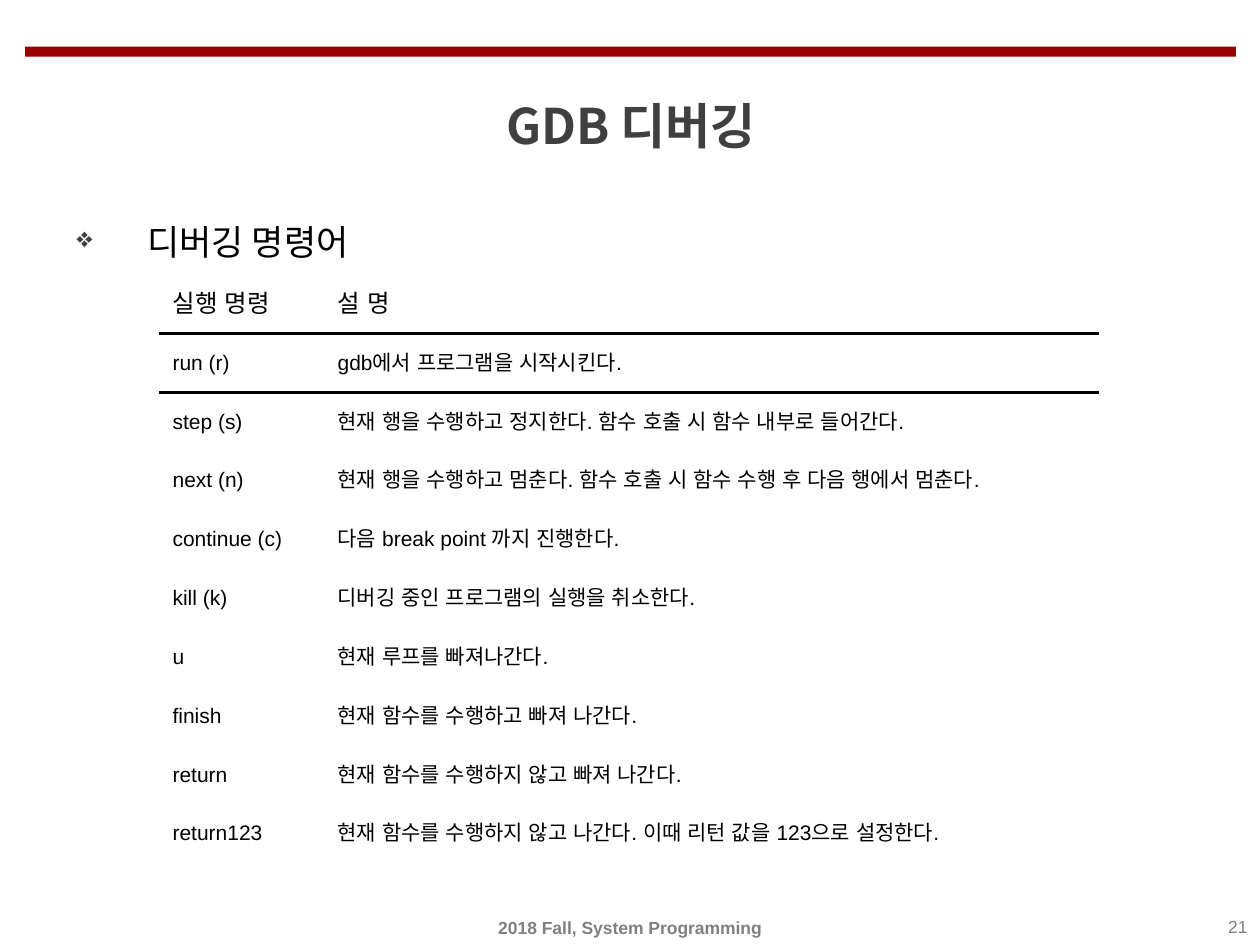
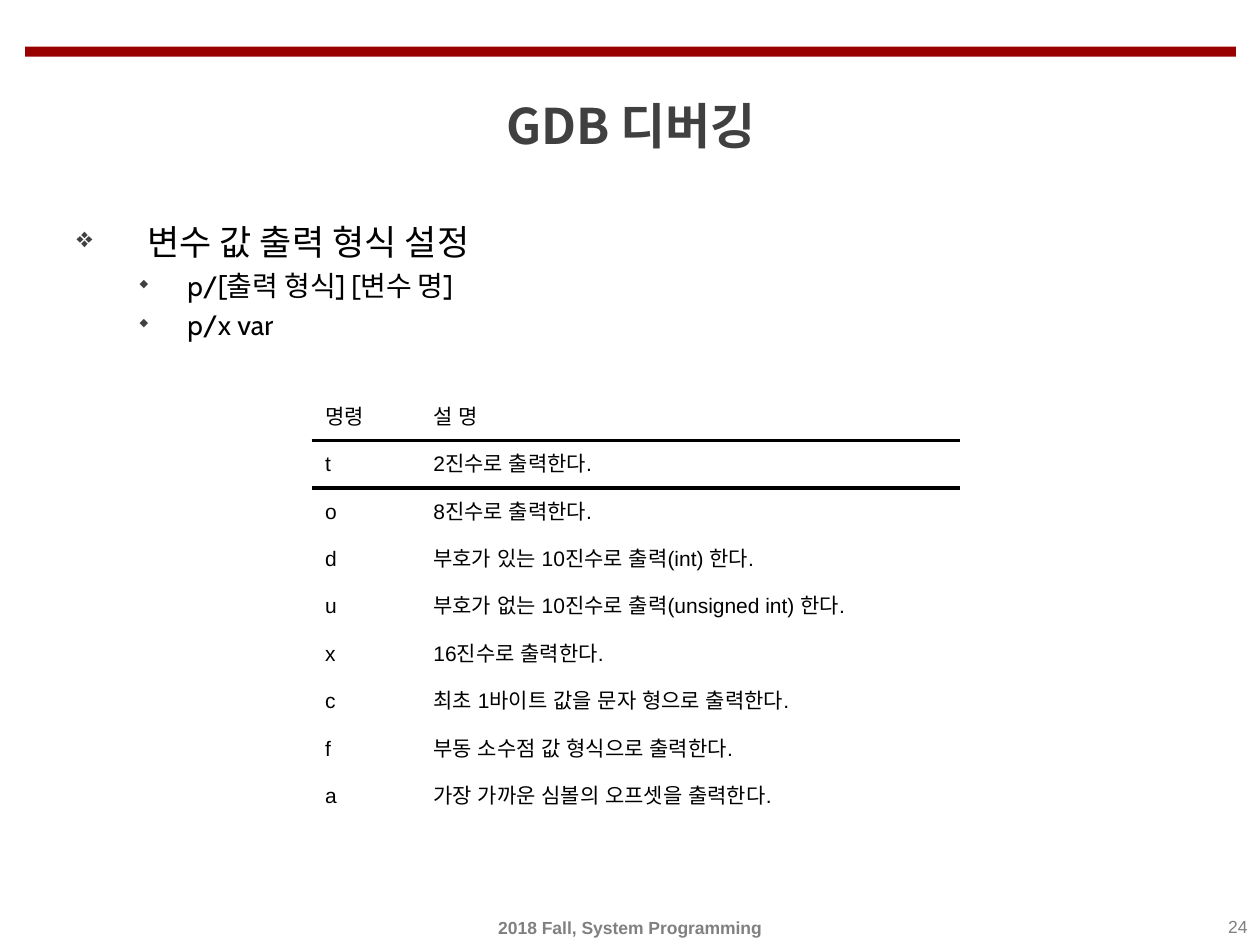
"""Build two slides on GDB debugging commands and variable output formats."""
from lxml import etree
from pptx import Presentation
from pptx import util as u
from pptx.dml import color
from pptx.enum import shapes, text
from pptx.oxml import ns

COLORS = {"band": "990000", "title": "404040", "footer": "808080",
          "ink": "000000", "paper": "FFFFFF"}
BULLETS = [("❖", 80, 20, 0.56, -0.56), ("◆", 40, 16, 0.88, -0.38)]

SLIDES = [
    {"number": "21",
     "points": [(0, "디버깅 명령어")],
     "at": (1.27, 2.18, 7.45, 4.67), "cols": (1.31, 6.14), "header_size": 14,
     "rows": [
         ("실행 명령", "설 명"),
         ("run (r)", "gdb에서 프로그램을 시작시킨다."),
         ("step (s)", "현재 행을 수행하고 정지한다. 함수 호출 시 함수 내부로 들어간다."),
         ("next (n)", "현재 행을 수행하고 멈춘다. 함수 호출 시 함수 수행 후 다음 행에서 멈춘다."),
         ("continue (c)", "다음 break point 까지 진행한다."),
         ("kill (k)", "디버깅 중인 프로그램의 실행을 취소한다."),
         ("u", "현재 루프를 빠져나간다."),
         ("finish", "현재 함수를 수행하고 빠져 나간다."),
         ("return", "현재 함수를 수행하지 않고 빠져 나간다."),
         ("return123", "현재 함수를 수행하지 않고 나간다. 이때 리턴 값을 123으로 설정한다.")]},
    {"number": "24",
     "points": [(0, "변수 값 출력 형식 설정"), (1, "p/[출력 형식] [변수 명]"), (1, "p/x var")],
     "at": (2.48, 3.12, 5.12, 3.39), "cols": (0.86, 4.27), "header_size": 12,
     "rows": [
         ("명령", "설 명"),
         ("t", "2진수로 출력한다."),
         ("o", "8진수로 출력한다."),
         ("d", "부호가 있는 10진수로 출력(int) 한다."),
         ("u", "부호가 없는 10진수로 출력(unsigned int) 한다."),
         ("x", "16진수로 출력한다."),
         ("c", "최초 1바이트 값을 문자 형으로 출력한다."),
         ("f", "부동 소수점 값 형식으로 출력한다."),
         ("a", "가장 가까운 심볼의 오프셋을 출력한다.")]},
]


def add_box(s, left, top, width, height, anchor=text.MSO_ANCHOR.MIDDLE):
    tf = s.shapes.add_textbox(*map(u.Inches, (left, top, width, height))).text_frame
    tf.word_wrap = True
    tf.vertical_anchor = anchor
    return tf


def write(p, words, size, font, ink, bold=False, align=text.PP_ALIGN.LEFT):
    p.add_run().text = words
    p.alignment = align
    p.font.size = u.Pt(size)
    p.font.bold = bold
    p.font.name = font
    p.font.color.rgb = color.RGBColor.from_string(COLORS[ink])
    props = p._p.pPr.find(ns.qn("a:defRPr"))
    etree.SubElement(props, ns.qn("a:ea"), typeface=font)
    return props


prs = Presentation()
prs.slide_width, prs.slide_height = u.Inches(10), u.Inches(7.5)

for page in SLIDES:
    s = prs.slides.add_slide(prs.slide_layouts[6])

    band = s.shapes.add_shape(shapes.MSO_SHAPE.RECTANGLE,
                              *map(u.Inches, (0.2, 0.37, 9.61, 0.08)))
    band.shadow.inherit = False
    band.fill.solid()
    band.fill.fore_color.rgb = color.RGBColor.from_string(COLORS["band"])
    band.line.fill.background()

    write(add_box(s, 0.21, 0.6, 9.6, 0.79).paragraphs[0], "GDB 디버깅",
          28, "Noto Sans CJK KR", "title", True, text.PP_ALIGN.CENTER)
    write(add_box(s, 0, 7.22, 10, 0.28).paragraphs[0], "2018 Fall, System Programming",
          10, "Arial", "footer", True, text.PP_ALIGN.CENTER)
    write(add_box(s, 7.67, 7.22, 2.33, 0.28, text.MSO_ANCHOR.TOP).paragraphs[0],
          page["number"], 10, "Arial", "footer", align=text.PP_ALIGN.RIGHT)

    tf = add_box(s, 0.51, 1.7, 9.06, 5.28, text.MSO_ANCHOR.TOP)
    for i, (level, words) in enumerate(page["points"]):
        p = tf.add_paragraph() if i else tf.paragraphs[0]
        mark, percent, size, margin, indent = BULLETS[level]
        props = write(p, words, size, "Cabin", "ink")
        p.level = level
        p.space_before = u.Pt(size * 0.2)
        p._p.pPr.set("marL", str(u.Inches(margin)))
        p._p.pPr.set("indent", str(u.Inches(indent)))
        bullet_color = etree.Element(ns.qn("a:buClr"))
        etree.SubElement(bullet_color, ns.qn("a:srgbClr"), val=COLORS["title"])
        props.addprevious(bullet_color)
        props.addprevious(etree.Element(ns.qn("a:buSzPct"), val=str(percent * 1000)))
        props.addprevious(etree.Element(ns.qn("a:buChar"), char=mark))

    rows = page["rows"]
    table = s.shapes.add_table(len(rows), 2, *map(u.Inches, page["at"])).table
    table.first_row = table.horz_banding = False
    for column, width in zip(table.columns, page["cols"]):
        column.width = u.Inches(width)
    for i, row in enumerate(rows):
        for j, words in enumerate(row):
            cell = table.cell(i, j)
            cell.vertical_anchor = text.MSO_ANCHOR.MIDDLE
            write(cell.text_frame.paragraphs[0], words,
                  12 if i else page["header_size"], "Arial", "ink")
            ruled = {"T": i in (1, 2), "B": i in (0, 1)}
            for side in "LRTB":
                heavy = ruled.get(side, False)
                line = etree.SubElement(cell._tc.get_or_add_tcPr(), ns.qn("a:ln" + side),
                                        w=str(u.Pt(2.25 if heavy else 1)))
                fill = etree.SubElement(line, ns.qn("a:solidFill"))
                etree.SubElement(fill, ns.qn("a:srgbClr"),
                                 val=COLORS["ink" if heavy else "paper"])
            cell.fill.background()

prs.save("out.pptx")
